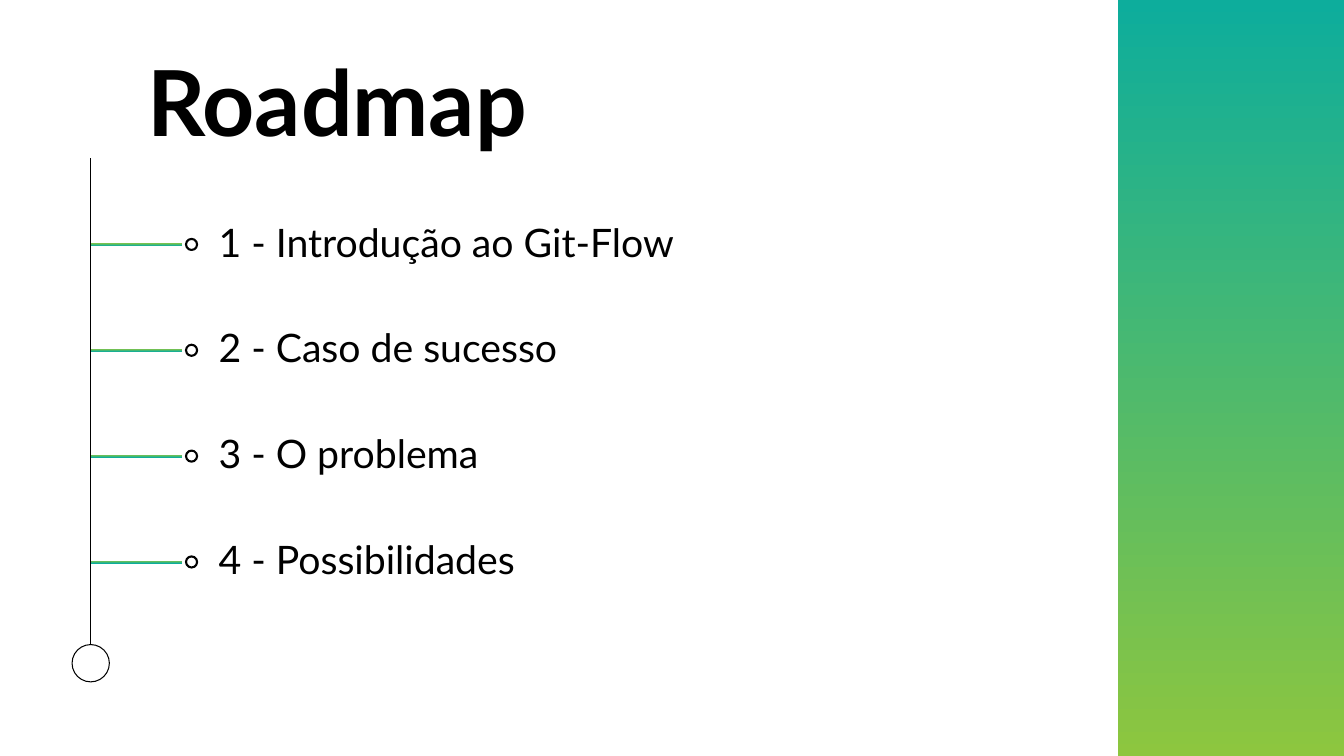
from dataclasses import dataclass

from lxml import etree
from pptx import Presentation
from pptx.dml.color import RGBColor
from pptx.enum import shapes, text
from pptx.oxml import ns
from pptx.util import Inches, Pt


@dataclass(frozen=True)
class Theme:
    """Colours, font and type sizes of the slide."""
    ink: RGBColor = RGBColor.from_string("000000")
    green: RGBColor = RGBColor.from_string("8DC63F")
    teal: RGBColor = RGBColor.from_string("0DAD9C")
    font: str = "Lato"
    title_size: int = 65
    item_size: int = 28


THEME = Theme()
ITEMS = ("Introdução ao Git-Flow", "Caso de sucesso", "O problema", "Possibilidades")
FIRST_ROW = 2.425
ROW_PITCH = 1.05
SPINE_X = 0.9


def add_gradient_bar(page, left, top, width, height, rotation=0):
    """Add a borderless rectangle that runs from green up to teal."""
    bar = page.shapes.add_shape(shapes.MSO_SHAPE.RECTANGLE, Inches(left), Inches(top),
                                Inches(width), Inches(height))
    bar.shadow.inherit = False
    bar.line.fill.background()
    bar.fill.gradient()
    bar.fill.gradient_angle = 90
    for stop, colour in zip(bar.fill.gradient_stops, (THEME.green, THEME.teal)):
        stop.color.rgb = colour
    bar.rotation = rotation


def add_ring(page, center_x, center_y, size, line_width):
    """Add an unfilled circle around a centre point."""
    ring = page.shapes.add_shape(shapes.MSO_SHAPE.OVAL, Inches(center_x - size / 2),
                                 Inches(center_y - size / 2), Inches(size), Inches(size))
    ring.shadow.inherit = False
    ring.fill.background()
    ring.line.color.rgb = THEME.ink
    ring.line.width = Pt(line_width)


def add_spine(page, x, bottom, top):
    """Add the vertical line of the roadmap."""
    spine = page.shapes.add_connector(shapes.MSO_CONNECTOR.STRAIGHT, Inches(x), Inches(bottom),
                                      Inches(x), Inches(top))
    spine.line.color.rgb = THEME.ink
    spine.line.width = Pt(0.75)
    etree.SubElement(spine._element.spPr, ns.qn("a:effectLst"))


def add_text(page, wording, left, top, width, height, size, inset, anchor, bold=False, spacing=1.0):
    """Add a one-paragraph text box."""
    box = page.shapes.add_textbox(Inches(left), Inches(top), Inches(width), Inches(height))
    frame = box.text_frame
    frame.word_wrap = True
    frame.vertical_anchor = anchor
    frame.margin_left = frame.margin_right = Inches(inset)
    frame.margin_top = frame.margin_bottom = Inches(inset)
    para = frame.paragraphs[0]
    para.text = wording
    para.line_spacing = spacing
    para.font.name = THEME.font
    para.font.size = Pt(size)
    para.font.bold = bold
    para.font.color.rgb = THEME.ink


def add_item(page, number, wording, center_y):
    """Add a roadmap step: branch, ring and label."""
    add_gradient_bar(page, SPINE_X, center_y - 0.015, 0.91, 0.03, rotation=180)
    add_ring(page, 1.9, center_y, 0.11, 1.5)
    add_text(page, f"{number} - {wording}", 2.07, center_y - 0.34, 6.67, 0.68,
             THEME.item_size, 0.1, text.MSO_ANCHOR.MIDDLE, spacing=0.9)


def main():
    """Build and save the roadmap slide."""
    deck = Presentation()
    deck.slide_width, deck.slide_height = Inches(13.33), Inches(7.5)
    page = deck.slides.add_slide(deck.slide_layouts[6])
    add_gradient_bar(page, 11.09, 0, 2.24, 7.5)
    add_ring(page, SPINE_X, 6.58, 0.37, 0.75)
    add_spine(page, SPINE_X, 6.4, 1.57)
    for index, wording in enumerate(ITEMS):
        add_item(page, index + 1, wording, FIRST_ROW + index * ROW_PITCH)
    add_text(page, "Roadmap", 1.33, 0.32, 4.29, 1.03, THEME.title_size, 0.13,
             text.MSO_ANCHOR.TOP, bold=True)
    deck.save("out.pptx")


if __name__ == "__main__":
    main()
